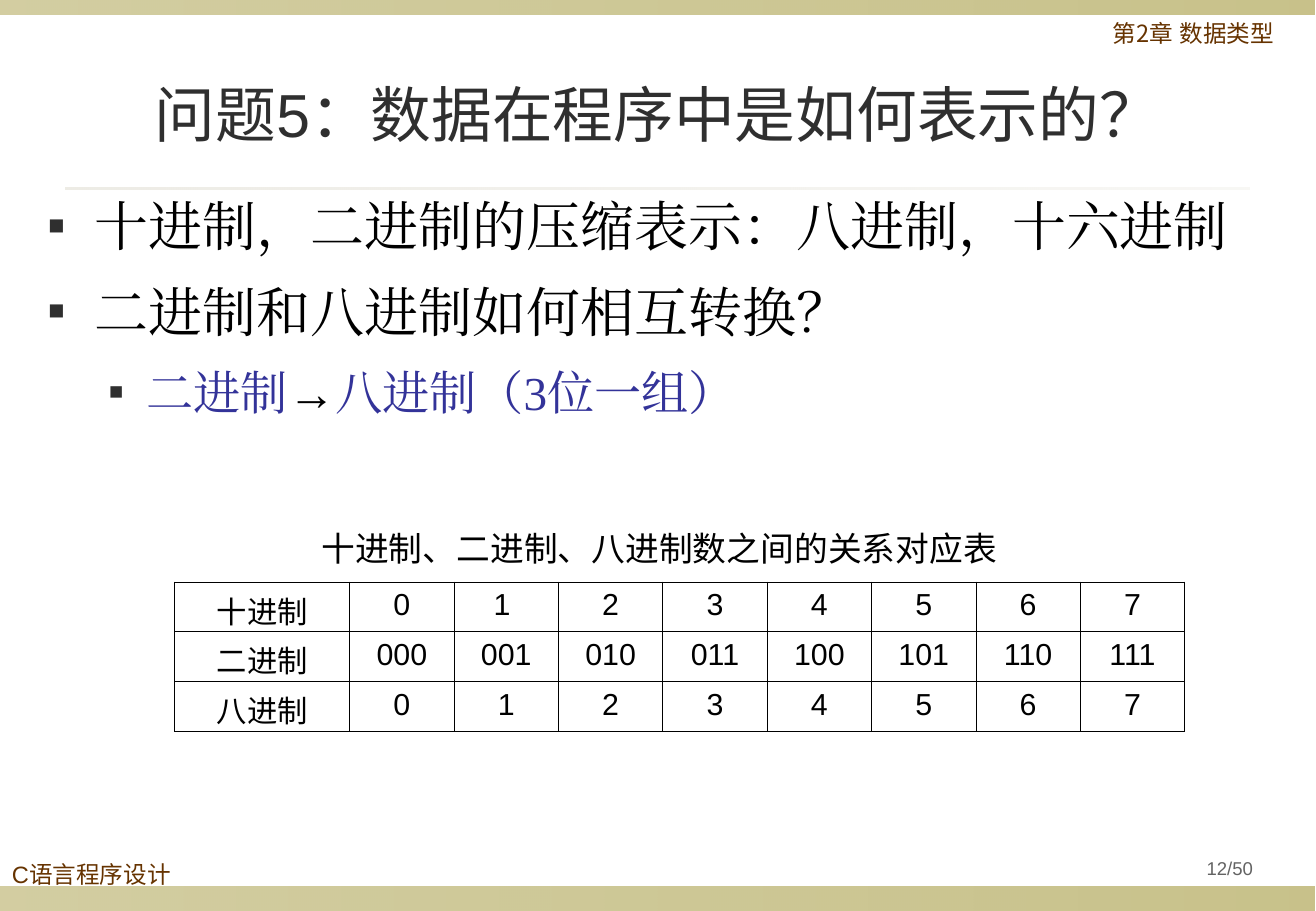
"""Build the slide on how data is represented in a program."""
from typing import NamedTuple

import pptx
import pptx.dml.color
import pptx.enum.shapes
import pptx.enum.text
import pptx.oxml
import pptx.oxml.ns
import pptx.util

ALIGN = pptx.enum.text.PP_ALIGN
ANCHOR = pptx.enum.text.MSO_ANCHOR
NS = 'xmlns:a="http://schemas.openxmlformats.org/drawingml/2006/main"'
SANS = "Arial"
HAN = "Noto Sans CJK SC"
BROWN, BLUE, BLACK, DARK = "663300", "333399", "000000", "2F2F2F"


class Box(NamedTuple):
    left: int
    top: int
    width: int
    height: int


class Bar(NamedTuple):
    box: Box
    color: str
    start: int
    end: int


class Label(NamedTuple):
    box: Box
    text: str
    size: int
    color: str
    font: str = SANS
    align: ALIGN = ALIGN.LEFT
    spacing: float = 1.0
    anchor: ANCHOR = ANCHOR.TOP
    inset: int = 10


class Point(NamedTuple):
    words: list[tuple[str, str]]
    level: int
    size: int
    pitch: float
    margin: int
    hang: int


BARS = [
    Bar(Box(0, 730, 1083, 20), "918415", 40, 50),
    Bar(Box(0, 0, 1083, 12), "918415", 40, 50),
    Bar(Box(54, 154, 975, 2), "DCD9CC", 50, 20),
]
LABELS = [
    Label(Box(0, 706, 235, 44), "C语言程序设计", 14, BROWN, spacing=0.9),
    Label(Box(865, 13, 236, 39), "第2章 数据类型", 14, BROWN, HAN, ALIGN.CENTER, 0.9),
    Label(Box(959, 700, 108, 31), "12/50", 11, "636363", SANS, ALIGN.CENTER, 0.9,
          ANCHOR.MIDDLE, 5),
    Label(Box(255, 430, 604, 44), "十进制、二进制、八进制数之间的关系对应表", 20, BLACK),
]
POINTS = [
    Point([("十进制，二进制的压缩表示：八进制，十六进制", BLACK)], 0, 32, 38.4, 38, 38),
    Point([("二进制和八进制如何相互转换？", BLACK)], 0, 32, 38.4, 38, 38),
    Point([("二进制", BLUE), ("→", BLACK), ("八进制（3位一组）", BLUE)], 1, 28, 33.6, 81, 31),
]
ROWS = [
    ["十进制", "0", "1 ", *"234567"],
    ["二进制", *(f"{n:03b}" for n in range(8))],
    ["八进制", *"01234567"],
]


def px(length: int) -> int:
    """Turn px into EMU at a hundred px to the inch."""
    return pptx.util.Emu(length * 9144)


def paint(target, color: str) -> None:
    """Give a font colour or a fill a solid hex colour."""
    target.rgb = pptx.dml.color.RGBColor.from_string(color)


def place(box: Box) -> list[int]:
    """Return the box in EMU."""
    return [px(side) for side in box]


def style(par, size: int, font: str, east: str, color: str = "") -> None:
    """Set the font of a paragraph."""
    par.font.size = pptx.util.Pt(size)
    if color:
        paint(par.font.color, color)
    par.font.name = font
    props = par._p.get_or_add_pPr().find(pptx.oxml.ns.qn("a:defRPr"))
    props.append(pptx.oxml.parse_xml(f'<a:ea {NS} typeface="{east}"/>'))


def draw_bar(slide, bar: Bar) -> None:
    """Draw a bar with a see-through gradient."""
    kind = pptx.enum.shapes.MSO_SHAPE.RECTANGLE
    shape = slide.shapes.add_shape(kind, *place(bar.box))
    shape.shadow.inherit = False
    shape.line.fill.background()
    shape.fill.gradient()
    shape.fill.gradient_angle = 0
    for stop in shape.fill.gradient_stops:
        paint(stop.color, bar.color)
    tints = shape.element.spPr.iter(pptx.oxml.ns.qn("a:srgbClr"))
    for tint, alpha in zip(tints, (bar.start, bar.end)):
        tint.append(pptx.oxml.parse_xml(f'<a:alpha {NS} val="{alpha * 1000}"/>'))


def draw_label(slide, label: Label) -> None:
    """Draw a text box of one line."""
    frame = slide.shapes.add_textbox(*place(label.box)).text_frame
    frame.word_wrap = True
    frame.vertical_anchor = label.anchor
    frame.margin_left = frame.margin_right = px(label.inset)
    par = frame.paragraphs[0]
    par.text = label.text
    par.alignment = label.align
    par.line_spacing = label.spacing
    style(par, label.size, label.font, SANS, label.color)


def draw_title(slide, text: str) -> None:
    """Fill and format the title placeholder."""
    title = slide.shapes.title
    title.left, title.top, title.width, title.height = place(Box(0, 47, 1083, 92))
    frame = title.text_frame
    frame.auto_size = pptx.enum.text.MSO_AUTO_SIZE.NONE
    frame.vertical_anchor = ANCHOR.MIDDLE
    par = frame.paragraphs[0]
    par.text = text
    par.alignment = ALIGN.CENTER
    style(par, 36, SANS, HAN, DARK)


def draw_points(slide, points: list[Point]) -> None:
    """Draw the bulleted list."""
    frame = slide.shapes.add_textbox(*place(Box(30, 154, 1054, 546))).text_frame
    frame.word_wrap = True
    for index, point in enumerate(points):
        par = frame.add_paragraph() if index else frame.paragraphs[0]
        par.level = point.level
        props = par._p.get_or_add_pPr()
        props.set("marL", str(px(point.margin)))
        props.set("indent", str(-px(point.hang)))
        for xml in (f'<a:buClr {NS}><a:srgbClr val="{DARK}"/></a:buClr>',
                    f'<a:buSzPct {NS} val="50000"/>',
                    f'<a:buFont {NS} typeface="{SANS}"/>',
                    f'<a:buChar {NS} char="■"/>'):
            props.append(pptx.oxml.parse_xml(xml))
        par.line_spacing = pptx.util.Pt(point.pitch)
        par.space_before = pptx.util.Pt(6 if index else 0)
        par.space_after = pptx.util.Pt(6)
        style(par, point.size, "Times New Roman", "Times New Roman")
        for text, color in point.words:
            run = par.add_run()
            run.text = text
            paint(run.font.color, color)


def draw_cell(cell, text: str, font: str) -> None:
    """Fill one table cell and rule its four sides."""
    par = cell.text_frame.paragraphs[0]
    par.text = text
    par.alignment = ALIGN.CENTER
    style(par, 18, font, HAN, BLACK)
    props = cell._tc.get_or_add_tcPr()
    for side in "LRTB":
        props.append(pptx.oxml.parse_xml(
            f'<a:ln{side} {NS} w="5715"><a:solidFill><a:srgbClr val="{BLACK}"/>'
            f'</a:solidFill></a:ln{side}>'))
    cell.fill.solid()
    paint(cell.fill.fore_color, "FFFFFF")


def draw_table(slide, rows: list[list[str]]) -> None:
    """Draw the table of matching numbers."""
    box = Box(144, 479, 832, 123)
    table = slide.shapes.add_table(len(rows), len(rows[0]), *place(box)).table
    table.first_row = table.horz_banding = False
    for index, column in enumerate(table.columns):
        column.width = px(86 if index else 144)
    for row, texts in zip(table.rows, rows):
        row.height = px(41)
        for index, (cell, text) in enumerate(zip(row.cells, texts)):
            draw_cell(cell, text, SANS if index else "Roboto")


def main() -> None:
    """Build and save the slide."""
    deck = pptx.Presentation()
    deck.slide_width, deck.slide_height = px(1084), px(750)
    slide = deck.slides.add_slide(deck.slide_layouts[5])
    for bar in BARS:
        draw_bar(slide, bar)
    draw_title(slide, "问题5：数据在程序中是如何表示的？")
    draw_points(slide, POINTS)
    draw_table(slide, ROWS)
    for label in LABELS:
        draw_label(slide, label)
    deck.save("out.pptx")


if __name__ == "__main__":
    main()
